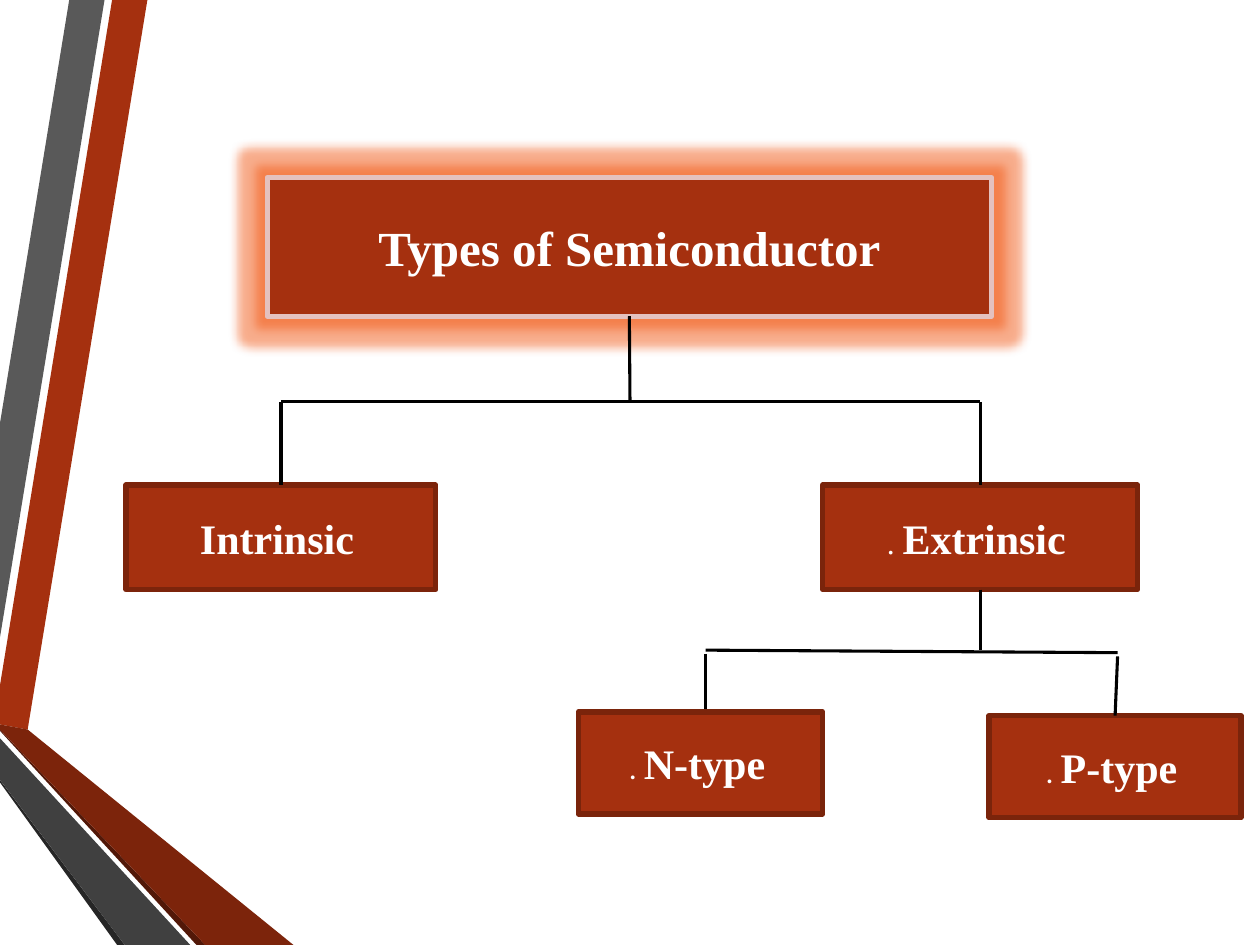
from dataclasses import dataclass
from lxml.etree import SubElement
from pptx import Presentation
from pptx.dml.color import RGBColor as Rgb
from pptx.enum.shapes import MSO_CONNECTOR as Connector, MSO_SHAPE as Shape
from pptx.enum.text import MSO_ANCHOR as Anchor, PP_ALIGN as Align
from pptx.oxml.ns import qn
from pptx.util import Inches, Pt


@dataclass(frozen=True)
class Theme:
    rust: str = "A5300F"
    dark_rust: str = "7C240B"
    deep_rust: str = "521808"
    border: str = "7A240B"
    grey: str = "595959"
    dark_grey: str = "404040"
    deep_grey: str = "262626"
    title_border: str = "E4C1BF"
    glow: str = "F04A00"
    white: str = "FFFFFF"
    black: str = "000000"
    serif: str = "Times New Roman"
    sans: str = "Calibri"
    title_size: int = 28
    label_size: int = 24
    small_size: int = 18
    border_width: float = 3
    branch_width: float = 1.75


theme = Theme()
deck = Presentation()
deck.slide_width, deck.slide_height = Inches(10), Inches(7.5)
slide = deck.slides.add_slide(deck.slide_layouts[6])
shapes = slide.shapes
column, row = deck.slide_width / 100, deck.slide_height / 75


def on_grid(across, down):
    return round(across * column), round(down * row)


def add_text(paragraph, text, font=theme.serif, size=theme.small_size, bold=False):
    run = paragraph.add_run()
    run.text = text
    run.font.name, run.font.size, run.font.bold = font, Pt(size), bold
    run.font.color.rgb = Rgb.from_string(theme.white)


ribbons = [
    (theme.rust, [(0, 54.4), (0, 57.5), (2.2, 57.9), (11.7, 0), (8.9, 0)]),
    (theme.grey, [(8.3, 0), (5.5, 0), (0, 33.6), (0, 50.6)]),
    (theme.deep_grey, [(0, 61.9), (0, 62.1), (9.3, 75), (9.9, 75)]),
    (theme.deep_rust, [(0, 57.9), (0, 58), (15.6, 75), (16.3, 75)]),
    (theme.dark_rust, [(0, 57.9), (16.3, 75), (23.3, 75), (2.2, 57.9), (0, 57.5)]),
    (theme.dark_grey, [(0, 61.9), (9.9, 75), (15.1, 75), (0, 58.6)]),
]
for color, corners in ribbons:
    outline = shapes.build_freeform(*on_grid(*corners[0]))
    outline.add_line_segments([on_grid(*corner) for corner in corners[1:]], close=True)
    ribbon = outline.convert_to_shape()
    ribbon.shadow.inherit = False
    ribbon.fill.solid()
    ribbon.fill.fore_color.rgb = Rgb.from_string(color)
    ribbon.line.fill.background()

types = [
    ("Types of Semiconductor", "", "", theme.serif, theme.title_size, theme.title_border, (21.2, 14.1), (57.5, 11)),
    ("Intrinsic", "", " ", theme.serif, theme.label_size, theme.dark_rust, (10, 38.5), (24.6, 8.3)),
    ("Extrinsic", ". ", " ", theme.serif, theme.label_size, theme.border, (65.3, 38.5), (25, 8.3)),
    ("P-type", ". ", " ", theme.sans, theme.label_size, theme.border, (78.5, 56.8), (20, 8.1)),
    ("N-type", ". ", " ", theme.sans, theme.label_size, theme.border, (45.9, 56.5), (19.4, 8.1)),
]
boxes = []
for label, lead, tail, side_font, size, border, place, extent in types:
    box = shapes.add_shape(Shape.RECTANGLE, *on_grid(*place), *on_grid(*extent))
    box.shadow.inherit = False
    box.fill.solid()
    box.fill.fore_color.rgb = Rgb.from_string(theme.rust)
    box.line.color.rgb = Rgb.from_string(border)
    box.line.width = Pt(theme.border_width)
    box.text_frame.word_wrap = True
    box.text_frame.vertical_anchor = Anchor.MIDDLE
    caption = box.text_frame.paragraphs[0]
    caption.alignment = Align.CENTER
    if lead:
        add_text(caption, lead, font=side_font)
    add_text(caption, label, size=size, bold=True)
    if tail:
        add_text(caption, tail, font=side_font)
    boxes.append(box)
title, intrinsic, extrinsic, p_type, n_type = boxes

effects = title.element.spPr.find(qn("a:effectLst"))
glow = SubElement(effects, qn("a:glow"), rad=str(Pt(11)))
glow_color = SubElement(glow, qn("a:srgbClr"), val=theme.glow)
SubElement(glow_color, qn("a:alpha"), val="45000")

top, bottom = 0, 2
branches = [
    ((50, 25.1), (50, 31.9), (title, bottom), None),
    ((47.4, 31.9), (22.3, 31.9), None, None),
    ((77.8, 31.9), (47.3, 31.9), None, None),
    ((22.3, 31.9), (22.3, 38.5), None, (intrinsic, top)),
    ((77.8, 31.9), (77.8, 38.5), None, (extrinsic, top)),
    ((77.8, 46.8), (77.8, 51.6), (extrinsic, bottom), None),
    ((88.7, 51.8), (56, 51.6), None, None),
    ((56, 51.9), (56, 56.3), None, None),
    ((88.7, 52.1), (88.5, 56.8), None, (p_type, top)),
]
for start, end, parent, child in branches:
    branch = shapes.add_connector(Connector.STRAIGHT, *on_grid(*start), *on_grid(*end))
    branch.line.color.rgb = Rgb.from_string(theme.black)
    branch.line.width = Pt(theme.branch_width)
    SubElement(branch.element.spPr, qn("a:effectLst"))
    if parent:
        branch.begin_connect(*parent)
    if child:
        branch.end_connect(*child)

deck.save("out.pptx")
